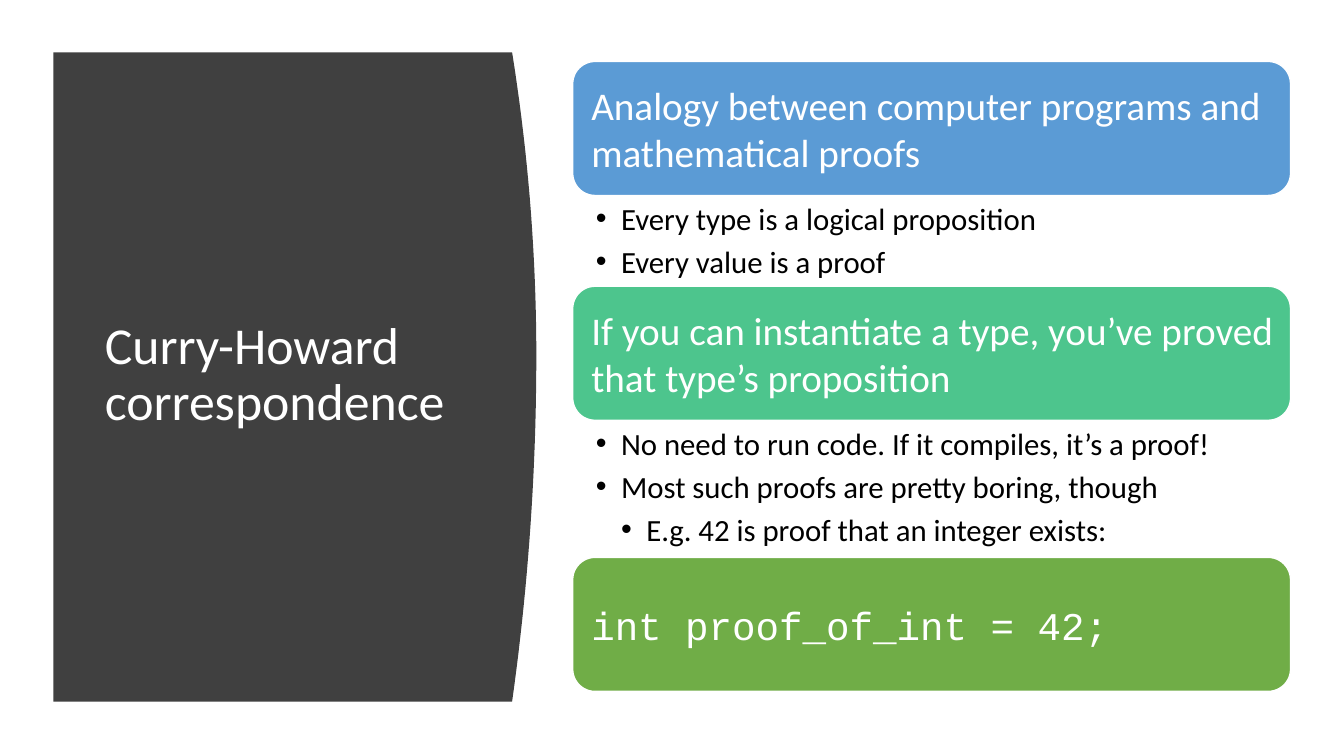
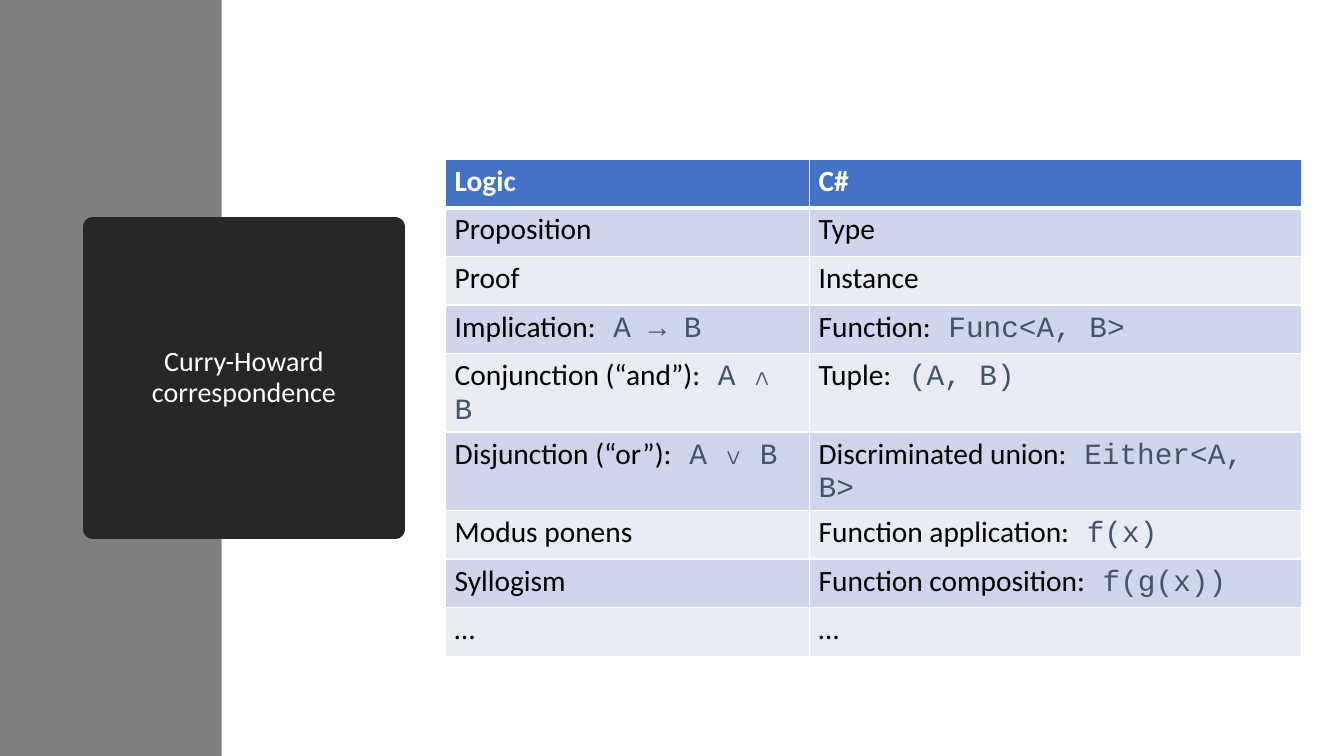
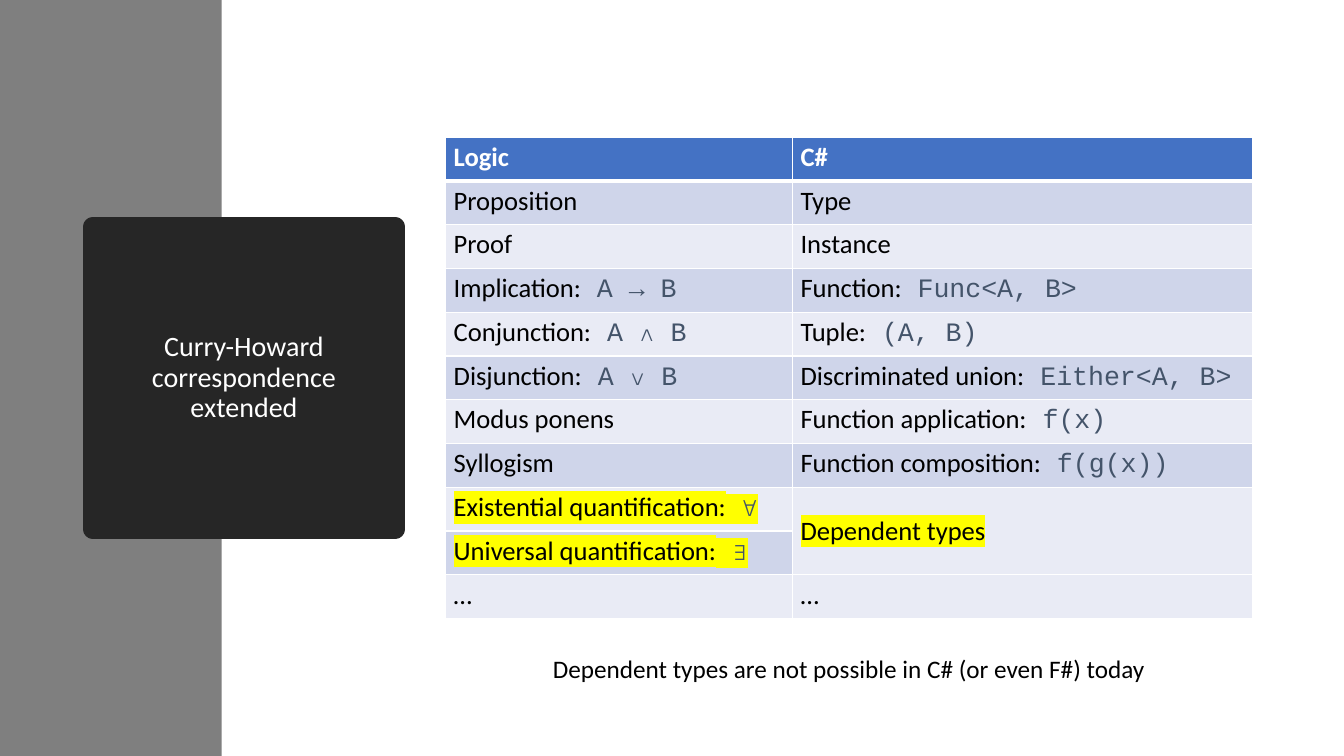
from lxml import etree
from pptx import Presentation
from pptx.dml.color import RGBColor
from pptx.enum.shapes import MSO_SHAPE
from pptx.enum.text import MSO_ANCHOR, MSO_AUTO_SIZE, PP_ALIGN
from pptx.oxml.ns import qn
from pptx.util import Inches, Pt

RECT, ROUNDED = MSO_SHAPE.RECTANGLE, MSO_SHAPE.ROUNDED_RECTANGLE
LEFT, CENTER = PP_ALIGN.LEFT, PP_ALIGN.CENTER
TOP, MIDDLE = MSO_ANCHOR.TOP, MSO_ANCHOR.MIDDLE
SANS, MONO = "Calibri", "Courier New"
W, H = 13.33, 7.5
COLORS = {
    "white": "FFFFFF", "black": "000000", "panel": "404040", "side": "7F7F7F",
    "badge": "262626", "blue": "5B9BD5", "teal": "4DC58D", "green": "70AD47",
    "header": "4472C4", "odd": "CFD5EA", "even": "E9EBF5", "code": "44546A",
    "marker": "FFFF00",
}

# Content: each block is colour, heading, font, list height, list of (level, text)
TITLE = "Curry-Howard correspondence"
BLOCKS = [
    ("blue", "Analogy between computer programs and mathematical proofs", SANS, 0.9,
     [(1, "Every type is a logical proposition"), (1, "Every value is a proof")]),
    ("teal", "If you can instantiate a type, you’ve proved that type’s proposition",
     SANS, 1.36,
     [(1, "No need to run code. If it compiles, it’s a proof!"),
      (1, "Most such proofs are pretty boring, though"),
      (2, "E.g. 42 is proof that an integer exists:")]),
    ("green", "int proof_of_int = 42;", MONO, 0, []),
]


# Each cell is (words, code)
def logic_rows(and_note="", or_note="", extra=()):
    return [
        (("Logic", ""), ("C#", "")),
        (("Proposition", ""), ("Type", "")),
        (("Proof", ""), ("Instance", "")),
        (("Implication:", " A → B"), ("Function:", " Func<A, B>")),
        ((f"Conjunction{and_note}:", " A ∧ B"), ("Tuple:", " (A, B)")),
        ((f"Disjunction{or_note}:", " A ∨ B"),
         ("Discriminated union:", " Either<A, B>")),
        (("Modus ponens", ""), ("Function application:", " f(x)")),
        (("Syllogism", ""), ("Function composition:", " f(g(x))")),
        *extra,
        (("…", ""), ("…", "")),
    ]


QUANTIFIERS = [
    (("Existential quantification:", " ∀"), ("Dependent types", "")),
    (("Universal quantification:", " ∃"), None),
]
TABLES = [
    dict(title=TITLE, rows=logic_rows(" (“and”)", " (“or”)"), top=1.58,
         widths=(3.61, 4.88), height=4.34, size=21, pad=0.09, marked=(), note=""),
    dict(title=TITLE + "\vextended", rows=logic_rows(extra=QUANTIFIERS), top=1.36,
         widths=(3.44, 4.56), height=4.78, size=19, pad=0.08, marked=(8, 9),
         note="Dependent types are not possible in C# (or even F#) today"),
]
TABLE_LEFT = 4.42

prs = Presentation()
prs.slide_width, prs.slide_height = Inches(W), Inches(H)


# Shared helpers
def rgb(name):
    return RGBColor.from_string(COLORS[name])


def style(r, size, color, name=SANS, bold=False):
    for key, value in dict(size=Pt(size), name=name, bold=bold).items():
        setattr(r.font, key, value)
    r.font.color.rgb = rgb(color)


def frame(tf, anchor, insets=(0.1, 0.05, 0.1, 0.05)):
    settings = dict(word_wrap=True, auto_size=MSO_AUTO_SIZE.NONE, vertical_anchor=anchor)
    for side, inset in zip(("left", "top", "right", "bottom"), insets):
        settings[f"margin_{side}"] = Inches(inset)
    for key, value in settings.items():
        setattr(tf, key, value)


def add_box(s, kind, box, fill, line=None):
    sp = s.shapes.add_shape(kind, *map(Inches, box))
    paint(sp, fill, line)
    return sp


def paint(sp, fill, line=None, width=1):
    sp.shadow.inherit = False
    sp.fill.solid()
    sp.fill.fore_color.rgb = rgb(fill)
    if line:
        sp.line.color.rgb = rgb(line)
        sp.line.width = Pt(width)
    else:
        sp.line.fill.background()


def add_title(s, text, box, size, align):
    sp = s.shapes.title
    sp.left, sp.top, sp.width, sp.height = map(Inches, box)
    frame(sp.text_frame, MIDDLE)
    sp.text_frame.text = text
    p = sp.text_frame.paragraphs[0]
    p.alignment, p.line_spacing = align, 0.9
    for r in p.runs:
        style(r, size, "white")
    return sp


def new_slide():
    return prs.slides.add_slide(prs.slide_layouts[5])


def add_bullet(p, level):
    pPr = p._p.get_or_add_pPr()
    pPr.set("marL", str(Inches(0.25 * level)))
    pPr.set("indent", str(-Inches(0.25)))
    etree.SubElement(pPr, qn("a:buFont")).set("typeface", "Arial")
    etree.SubElement(pPr, qn("a:buChar")).set("char", "•")


def highlight(r):
    mark = etree.Element(qn("a:highlight"))
    etree.SubElement(mark, qn("a:srgbClr")).set("val", COLORS["marker"])
    r.font.element.find(qn("a:solidFill")).addnext(mark) if hasattr(
        r.font, "element") else r._r.rPr.find(qn("a:solidFill")).addnext(mark)


def add_borders(cell, top, bottom):
    tcPr = cell._tc.get_or_add_tcPr()
    for i, (side, width) in enumerate(zip("LRTB", (1, 1, top, bottom))):
        ln = etree.Element(qn(f"a:ln{side}"), w=str(Pt(width)))
        fill = etree.SubElement(ln, qn("a:solidFill"))
        etree.SubElement(fill, qn("a:srgbClr")).set("val", COLORS["white"])
        tcPr.insert(i, ln)


# Slide with curved panel and stacked blocks
def panel_outline(left=0.53, top=0.52, edge=5.08, bulge=0.24, peak=3.53, bottom=6.96):
    steps = 40
    points = [(left, top)]
    for i in range(steps + 1):
        y = top + (bottom - top) * i / steps
        reach = (peak - top) if y < peak else (bottom - peak)
        points.append((edge + bulge * (1 - ((y - peak) / reach) ** 2), y))
    return points + [(left, bottom)]


def blocks_slide(left=5.68, y=0.61, width=7.12, head=1.33):
    s = new_slide()
    start, *rest = [(Inches(x), Inches(py)) for x, py in panel_outline()]
    outline = s.shapes.build_freeform(*start)
    outline.add_line_segments(rest, close=True)
    panel = outline.convert_to_shape()
    paint(panel, "panel")
    title = add_title(s, TITLE, (0.94, 1.11, 3.74, 5.24), 37, LEFT)
    title.element.addprevious(panel.element)

    for color, heading, font, list_height, items in BLOCKS:
        tf = add_box(s, ROUNDED, (left, y, width, head), color, "white").text_frame
        frame(tf, MIDDLE, (0.12, 0.12, 0.1, 0.12))
        p = tf.paragraphs[0]
        p.alignment = LEFT
        r = p.add_run()
        r.text = heading
        style(r, 28, "white", font)
        y += head
        if not items:
            continue
        tf = s.shapes.add_textbox(*map(Inches, (left, y, width, list_height))).text_frame
        frame(tf, TOP, (0.23, 0.04, 0.22, 0.04))
        for i, (level, text) in enumerate(items):
            p = tf.add_paragraph() if i else tf.paragraphs[0]
            p.level, p.space_after = level, Pt(4.4)
            add_bullet(p, level)
            r = p.add_run()
            r.text = text
            style(r, 22, "black")
        y += list_height


# Slides with side band, badge title and table
def fill_cell(cell, content, row, t):
    header = row == 0
    cell.fill.solid()
    cell.fill.fore_color.rgb = rgb("header" if header else "odd" if row % 2 else "even")
    add_borders(cell, 3 if row == 1 else 1, 3 if header else 1)
    cell.margin_left = cell.margin_right = Inches(t["pad"])
    cell.margin_top = cell.margin_bottom = Inches(0.04)
    if content is None:
        return
    cell.vertical_anchor = MIDDLE if cell.is_merge_origin else TOP
    words, code = content
    for text, color, font in ((words, "white" if header else "black", SANS),
                              (code, "code", MONO)):
        if text:
            r = cell.text_frame.paragraphs[0].add_run()
            r.text = text
            style(r, t["size"], color, font, header)
            if row in t["marked"]:
                highlight(r)


def table_slide(t):
    s = new_slide()
    band = add_box(s, RECT, (0, 0, 2.2, H), "side")
    badge = add_title(s, t["title"], (0.92, 2.25, 3, 3), 20, CENTER)
    badge.element.addprevious(band.element)
    badge.fill.solid()
    badge.fill.fore_color.rgb = rgb("badge")
    badge.line.color.rgb = rgb("badge")
    badge.line.width = Pt(13.75)

    box = (TABLE_LEFT, t["top"], sum(t["widths"]), t["height"])
    table = s.shapes.add_table(len(t["rows"]), 2, *map(Inches, box)).table
    for column, width in zip(table.columns, t["widths"]):
        column.width = Inches(width)
    if t["marked"]:
        first, last = t["marked"]
        table.cell(first, 1).merge(table.cell(last, 1))
    for i, row in enumerate(t["rows"]):
        for j, content in enumerate(row):
            fill_cell(table.cell(i, j), content, i, t)

    if t["note"]:
        box = (TABLE_LEFT, 6.43, sum(t["widths"]), 0.4)
        tf = s.shapes.add_textbox(*map(Inches, box)).text_frame
        frame(tf, TOP)
        p = tf.paragraphs[0]
        p.alignment = CENTER
        r = p.add_run()
        r.text = t["note"]
        style(r, 18, "black")


blocks_slide()
for t in TABLES:
    table_slide(t)
prs.save("out.pptx")
